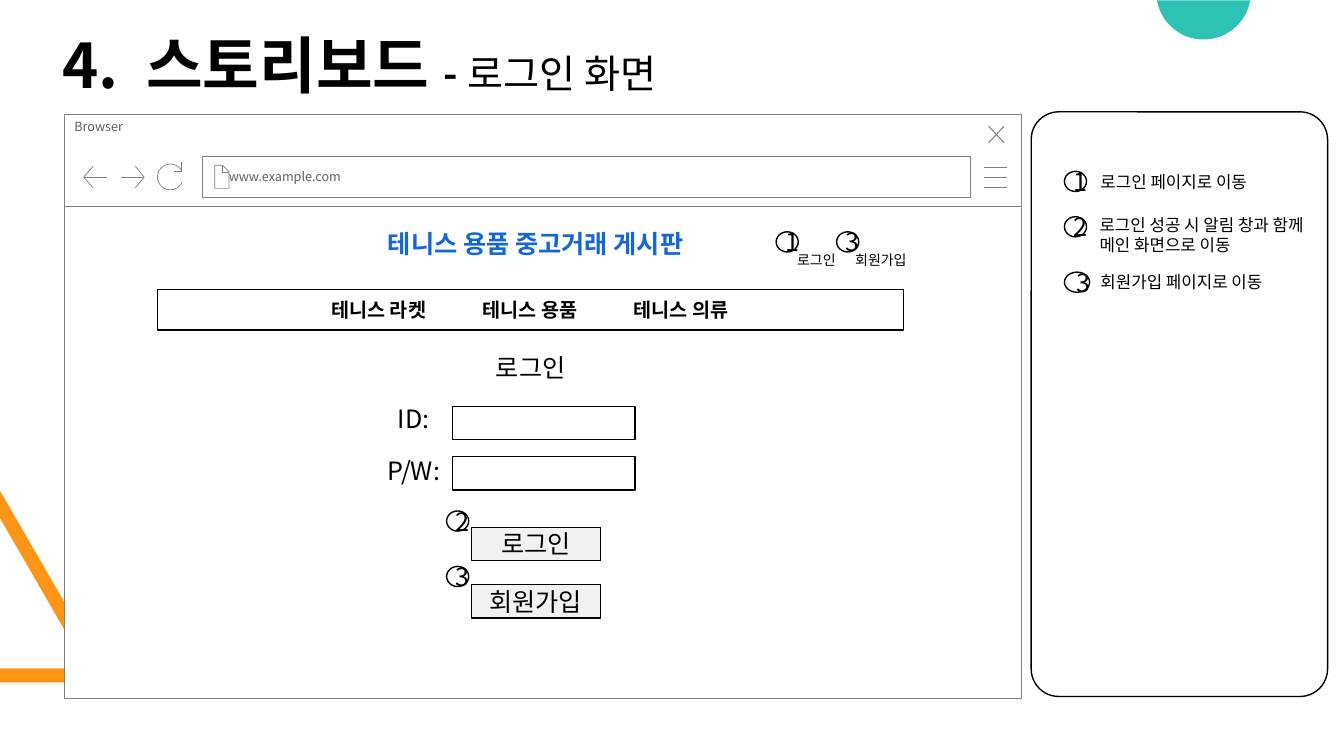
from math import cos, radians, sin
from lxml.etree import SubElement
from pptx import Presentation
from pptx.dml.color import RGBColor
from pptx.enum.shapes import MSO_SHAPE
from pptx.enum.text import MSO_ANCHOR, PP_ALIGN
from pptx.oxml.ns import qn
from pptx.util import Pt

FONT = "Noto Sans CJK KR"
COLORS = {"black": "000000", "white": "FFFFFF", "gray": "808080", "label": "5F5F5F",
          "blue": "1366DC", "button": "F2F2F2", "orange": "FF9514", "teal": "2CC3B4"}


def arc(x, y, radius, start, stop, step=4):
    return [(x + radius * cos(radians(angle)), y + radius * sin(radians(angle)))
            for angle in range(start, stop + 1, step)]


TITLE = [("4.\t스토리보드 ", 44, True), ("- ", 28, True), ("로그인 화면", 28, False)]
SITE_NAME = "테니스 용품 중고거래 게시판"
MENU = ["테니스 라켓", "테니스 용품", "테니스 의류"]
ACCOUNT_LINKS = "로그인\t회원가입"
FORM_HEADING = "로그인"
FIELDS = [("ID:", 284.4, 290.2), ("P/W:", 321.8, 326.2)]
BUTTONS = [("로그인", 376.6), ("회원가입", 417.6)]
MARKERS = [("2", 319, 365), ("3", 319, 404.6), ("1", 554.4, 165.6), ("3", 597.6, 165.6)]
NOTES = [("1", "로그인 페이지로 이동", 122.4, 118.8, 779, 15.8),
         ("2", "로그인 성공 시 알림 창과 함께 메인 화면으로 이동", 154.8, 149.8, 778.3, 15.8),
         ("3", "회원가입 페이지로 이동", 194.4, 190.8, 779, 18)]

BROWSER_LEFT, BROWSER_WIDTH = 46.08, 683.3
TOOLBAR_TOP, TOOLBAR_HEIGHT = 81.4, 66.2
PAGE_HEIGHT = 351.4
FIELD_WIDTH, BUTTON_WIDTH, ROW_HEIGHT = 130.3, 92.2, 23.8
MENU_START, MENU_STEP = 117, 108

ORANGE_STRIPE = [(0, 487.4), (0, 477.4), (61.9, 477.4), (0, 370.1), (0, 350.6),
                 (74.9, 480.2), (75.6, 482.4), (74, 486), (70.6, 487.4)]
TEAL_CIRCLE = arc(859.7, -5.6, 33.8, 10, 170)
MENU_ICON = [[(703.2, y), (719.4, y)] for y in (119.5, 126.5, 133.5)]
CLOSE_ICON = [[(717.2, 90.2), (706.2, 102)], [(706.2, 90.2), (717.2, 102)]]
FILE_ICON = [[(159.1, 118.4), (159.1, 123), (163.4, 123)],
             [(153.4, 118.1), (153.4, 134.6), (163.6, 134.6), (163.6, 122.7),
              (159.1, 118.1), (153.4, 118.1)]]
BACK_ICON = [[(66.5, 134.2), (59.8, 126.5), (66.5, 118.8)], [(60, 126.5), (76.3, 126.5)]]
FORWARD_ICON = [[(96.7, 118.8), (103, 126.5), (96.7, 134.2)], [(102.8, 126.5), (86.4, 126.5)]]
RELOAD_ICON = [[(129.6, 116), (129.6, 122.4), (124.6, 122.4)], arc(121.7, 126.4, 9.2, 22, 330)]
ICONS = [(MENU_ICON, 0.5), (CLOSE_ICON, 0.75), (FILE_ICON, 0.5),
         (BACK_ICON, 0.5), (FORWARD_ICON, 0.5), (RELOAD_ICON, 0.5)]

deck = Presentation()
deck.slide_width, deck.slide_height = Pt(960), Pt(540)
page = deck.slides.add_slide(deck.slide_layouts[6])


def color(name):
    return RGBColor.from_string(COLORS[name])


def paint(shape, fill=None, line=None, width=1):
    shape.shadow.inherit = False
    if fill:
        shape.fill.solid()
        shape.fill.fore_color.rgb = color(fill)
    else:
        shape.fill.background()
    if line:
        shape.line.color.rgb = color(line)
        shape.line.width = Pt(width)
    else:
        shape.line.fill.background()


def write(shape, runs, ink="black", align=PP_ALIGN.LEFT, anchor=MSO_ANCHOR.TOP,
          tabs=(), left=7.2, spacing=None):
    frame = shape.text_frame
    frame.word_wrap = True
    frame.vertical_anchor = anchor
    frame.margin_left = Pt(left)
    para = frame.paragraphs[0]
    para.alignment = align
    if spacing:
        para.line_spacing = spacing
    if tabs:
        tab_list = SubElement(para._p.get_or_add_pPr(), qn("a:tabLst"))
        for stop in tabs:
            SubElement(tab_list, qn("a:tab"), pos=str(Pt(stop)), algn="l")
    for text, size, bold in runs:
        span = para.add_run()
        span.text = text
        span.font.name = FONT
        span.font.size = Pt(size)
        span.font.bold = bold
        span.font.color.rgb = color(ink)
        SubElement(span.font._element, qn("a:ea"), typeface=FONT)


def add_shape(kind, x, y, width, height, fill="white", line="black", weight=1):
    shape = page.shapes.add_shape(kind, Pt(x), Pt(y), Pt(width), Pt(height))
    paint(shape, fill, line, weight)
    return shape


def add_text(x, y, width, height, runs, **style):
    box = page.shapes.add_textbox(Pt(x), Pt(y), Pt(width), Pt(height))
    write(box, runs, **style)


def add_outline(strokes, closed=False, **style):
    strokes = [[(x * 100, y * 100) for x, y in stroke] for stroke in strokes]
    builder = page.shapes.build_freeform(*strokes[0][0], scale=Pt(1) / 100)
    for index, stroke in enumerate(strokes):
        if index:
            builder.move_to(*stroke[0])
        builder.add_line_segments(stroke[1:], close=closed)
    paint(builder.convert_to_shape(), **style)


def add_marker(number, x, y, width=15.8):
    circle = add_shape(MSO_SHAPE.OVAL, x, y, width, 14.4)
    write(circle, [(number, 18, False)], align=PP_ALIGN.CENTER, anchor=MSO_ANCHOR.MIDDLE)


add_outline([ORANGE_STRIPE], True, fill="orange")
add_outline([TEAL_CIRCLE], True, fill="teal")
panel = add_shape(MSO_SHAPE.ROUNDED_RECTANGLE, 736.6, 79.9, 211.7, 417.6)
panel.adjustments[0] = 0.093

add_shape(MSO_SHAPE.RECTANGLE, BROWSER_LEFT, TOOLBAR_TOP + TOOLBAR_HEIGHT,
          BROWSER_WIDTH, PAGE_HEIGHT, line="gray", weight=0.5)
toolbar = add_shape(MSO_SHAPE.RECTANGLE, BROWSER_LEFT, TOOLBAR_TOP,
                    BROWSER_WIDTH, TOOLBAR_HEIGHT, line="gray", weight=0.5)
write(toolbar, [("Browser", 9, False)], ink="label")
address = add_shape(MSO_SHAPE.RECTANGLE, 144.7, 111.6, 548.6, 29.5, line="gray", weight=0.5)
write(address, [("www.example.com", 9, False)], ink="label",
      anchor=MSO_ANCHOR.MIDDLE, left=18.7)
for strokes, weight in ICONS:
    add_outline(strokes, line="gray", width=weight)

add_text(37.4, 21.6, 737.3, 75.6, TITLE, tabs=[60], spacing=0.9)
add_text(562.3, 176.4, 103, 19.4, [(ACCOUNT_LINKS, 10, False)], tabs=[41.5])
add_text(270, 159.8, 298.8, 28.8, [(SITE_NAME, 18, True)], ink="blue")
menu_bar = add_shape(MSO_SHAPE.RECTANGLE, 112.6, 207, 532.8, 28.8)
write(menu_bar, [("\t" + label, 14, True) for label in MENU], anchor=MSO_ANCHOR.MIDDLE,
      tabs=[MENU_START + MENU_STEP * column for column in range(len(MENU))])

add_text(313.9, 248.4, FIELD_WIDTH, 28.8, [(FORM_HEADING, 18, False)], align=PP_ALIGN.CENTER)
for label, label_top, field_top in FIELDS:
    add_text(230.4, label_top, FIELD_WIDTH, 28.8, [(label, 18, False)], align=PP_ALIGN.CENTER)
    add_shape(MSO_SHAPE.RECTANGLE, 323.3, field_top, FIELD_WIDTH, ROW_HEIGHT)
for label, top in BUTTONS:
    button = add_shape(MSO_SHAPE.RECTANGLE, 336.6, top, BUTTON_WIDTH, ROW_HEIGHT, fill="button")
    write(button, [(label, 18, False)], align=PP_ALIGN.CENTER, anchor=MSO_ANCHOR.MIDDLE)

for marker in MARKERS:
    add_marker(*marker)
for number, note, marker_top, note_top, note_left, marker_width in NOTES:
    add_marker(number, 760.3, marker_top, marker_width)
    add_text(note_left, note_top, 174.2, 21.6, [(note, 12, False)])

deck.save("out.pptx")
